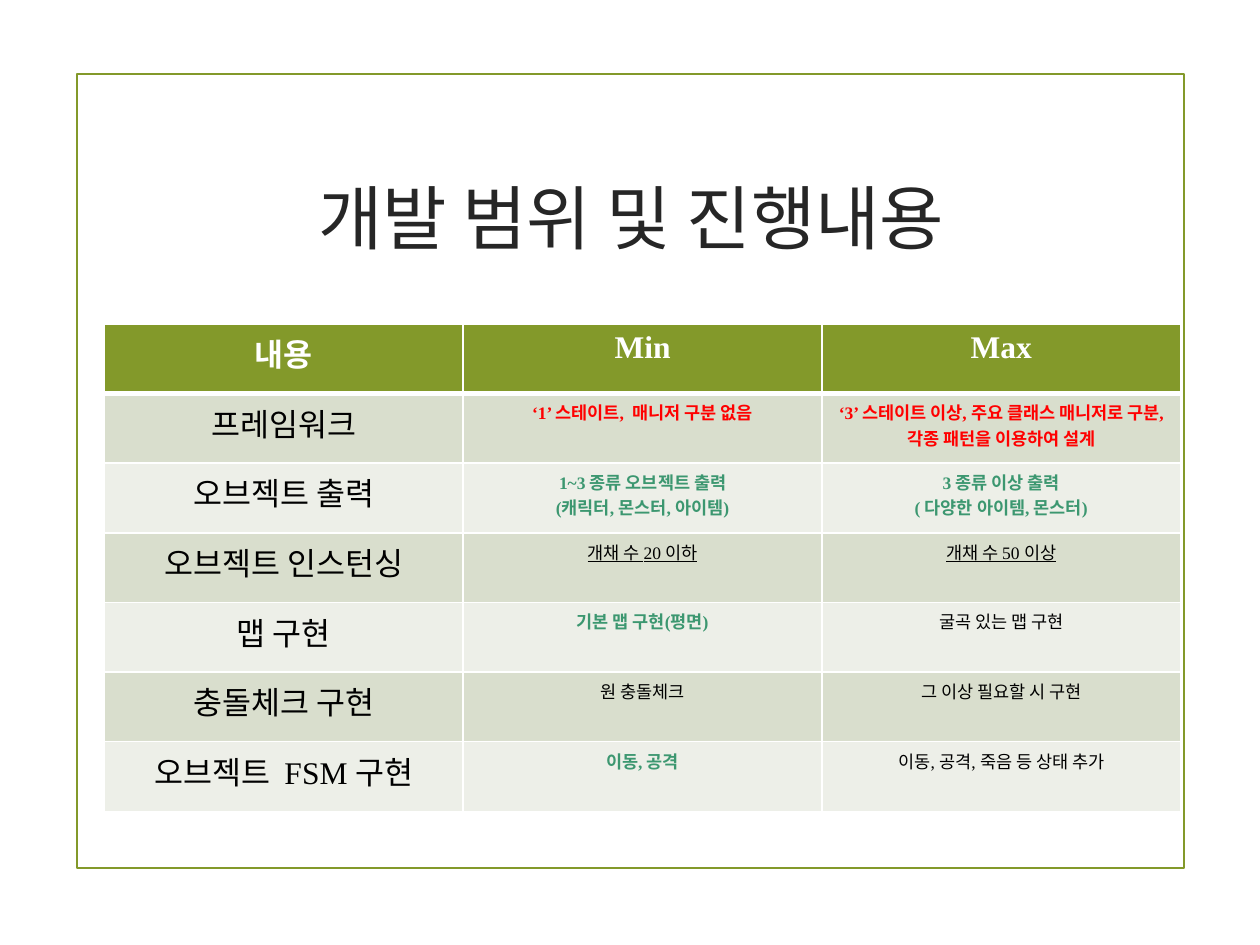
from lxml import etree
from pptx import Presentation
from pptx.dml.color import RGBColor
from pptx.enum.shapes import MSO_CONNECTOR, MSO_SHAPE
from pptx.enum.text import MSO_ANCHOR, MSO_AUTO_SIZE, PP_ALIGN
from pptx.oxml import parse_xml
from pptx.oxml.ns import nsdecls, qn
from pptx.util import Inches, Pt

CENTER = PP_ALIGN.CENTER
MIDDLE = MSO_ANCHOR.MIDDLE
NO_AUTOFIT = MSO_AUTO_SIZE.NONE
RECTANGLE = MSO_SHAPE.RECTANGLE
STRAIGHT = MSO_CONNECTOR.STRAIGHT
TITLE_ONLY = 5

FONT = "Times New Roman"
GREEN = "83992A"
WHITE = "FFFFFF"
BLACK = "000000"
BANDS = ("D9DECD", "EDEFE8")

HEADING = {"size": Pt(18), "bold": True, "color": WHITE}
TOPIC = {"size": Pt(18), "bold": False, "color": BLACK}
PLAIN = {"size": Pt(10), "bold": False, "color": BLACK}
UNDERLINED = {**PLAIN, "underline": True}
RED = {"size": Pt(10), "bold": True, "color": "FF0000"}
TEAL = {**RED, "color": "3C9770"}

HEADINGS = ("내용", "Min", "Max")
SCOPE = [
    ("프레임워크",
     ("‘1’ 스테이트,  매니저 구분 없음", RED),
     ("‘3’ 스테이트 이상, 주요 클래스 매니저로 구분, 각종 패턴을 이용하여 설계", RED)),
    ("오브젝트 출력",
     ("1~3 종류 오브젝트 출력\n(캐릭터, 몬스터, 아이템)", TEAL),
     ("3 종류 이상 출력\n( 다양한 아이템, 몬스터)", TEAL)),
    ("오브젝트 인스턴싱", ("개채 수 20 이하", UNDERLINED), ("개채 수 50 이상", UNDERLINED)),
    ("맵 구현", ("기본 맵 구현(평면)", TEAL), ("굴곡 있는 맵 구현", PLAIN)),
    ("충돌체크 구현", ("원 충돌체크", PLAIN), ("그 이상 필요할 시 구현", PLAIN)),
    ("오브젝트  FSM 구현", ("이동, 공격", TEAL), ("이동, 공격, 죽음 등 상태 추가", PLAIN)),
]


def rgb(value):
    return RGBColor.from_string(value)


def write_text(text_frame, text, style):
    text_frame.text = text
    for paragraph in text_frame.paragraphs:
        paragraph.alignment = CENTER
        font = paragraph.runs[0].font
        font.name = FONT
        for name, value in style.items():
            if name == "color":
                font.color.rgb = rgb(value)
            else:
                setattr(font, name, value)


def style_line(line):
    line.color.rgb = rgb(GREEN)
    line.width = Pt(1.25)


def add_frame(slide, left, top, width, height):
    frame = slide.shapes.add_shape(RECTANGLE, left, top, width, height)
    frame.shadow.inherit = False
    frame.fill.background()
    style_line(frame.line)


def add_divider(slide, left, right, top):
    divider = slide.shapes.add_connector(STRAIGHT, left, top, right, top)
    style_line(divider.line)
    etree.SubElement(divider.element.spPr, qn("a:effectLst"))


def place_title(slide, left, top, width, height):
    title = slide.shapes.title
    box = {"left": left, "top": top, "width": width, "height": height}
    for name, value in box.items():
        setattr(title, name, value)
    write_text(title.text_frame, "개발 범위 및 진행내용", {"size": Pt(40), "color": "262626"})
    title.text_frame.vertical_anchor = MIDDLE
    title.text_frame.auto_size = NO_AUTOFIT


def set_borders(cell, top_width, bottom_width):
    widths = {"lnL": 1, "lnR": 1, "lnT": top_width, "lnB": bottom_width}
    for tag, width in widths.items():
        cell._tc.get_or_add_tcPr().append(parse_xml(
            f'<a:{tag} {nsdecls("a")} w="{Pt(width)}"><a:solidFill>'
            f'<a:srgbClr val="{WHITE}"/></a:solidFill></a:{tag}>'))


def add_scope_table(slide, left, top, width, height):
    rows = [[(text, HEADING) for text in HEADINGS]]
    rows += [[(topic, TOPIC), *limits] for topic, *limits in SCOPE]
    table = slide.shapes.add_table(
        len(rows), len(HEADINGS), left, top, width, height).table
    for row_index, row in enumerate(rows):
        fill = BANDS[(row_index - 1) % 2] if row_index else GREEN
        top_width = 3 if row_index == 1 else 1
        bottom_width = 3 if row_index == 0 else 1
        for column_index, (text, style) in enumerate(row):
            cell = table.cell(row_index, column_index)
            write_text(cell.text_frame, text, style)
            set_borders(cell, top_width, bottom_width)
            cell.fill.solid()
            cell.fill.fore_color.rgb = rgb(fill)


def main():
    presentation = Presentation()
    presentation.slide_width = Inches(10)
    presentation.slide_height = Inches(7.5)
    slide = presentation.slides.add_slide(presentation.slide_layouts[TITLE_ONLY])
    add_frame(slide, Inches(0.61), Inches(0.59), Inches(8.79), Inches(6.3))
    add_divider(slide, Inches(1.4), Inches(8.61), Inches(2.58))
    place_title(slide, Inches(1.29), Inches(1), Inches(7.44), Inches(1.43))
    add_scope_table(slide, Inches(0.83), Inches(2.57), Inches(8.54), Inches(3.87))
    presentation.save("out.pptx")


if __name__ == "__main__":
    main()
